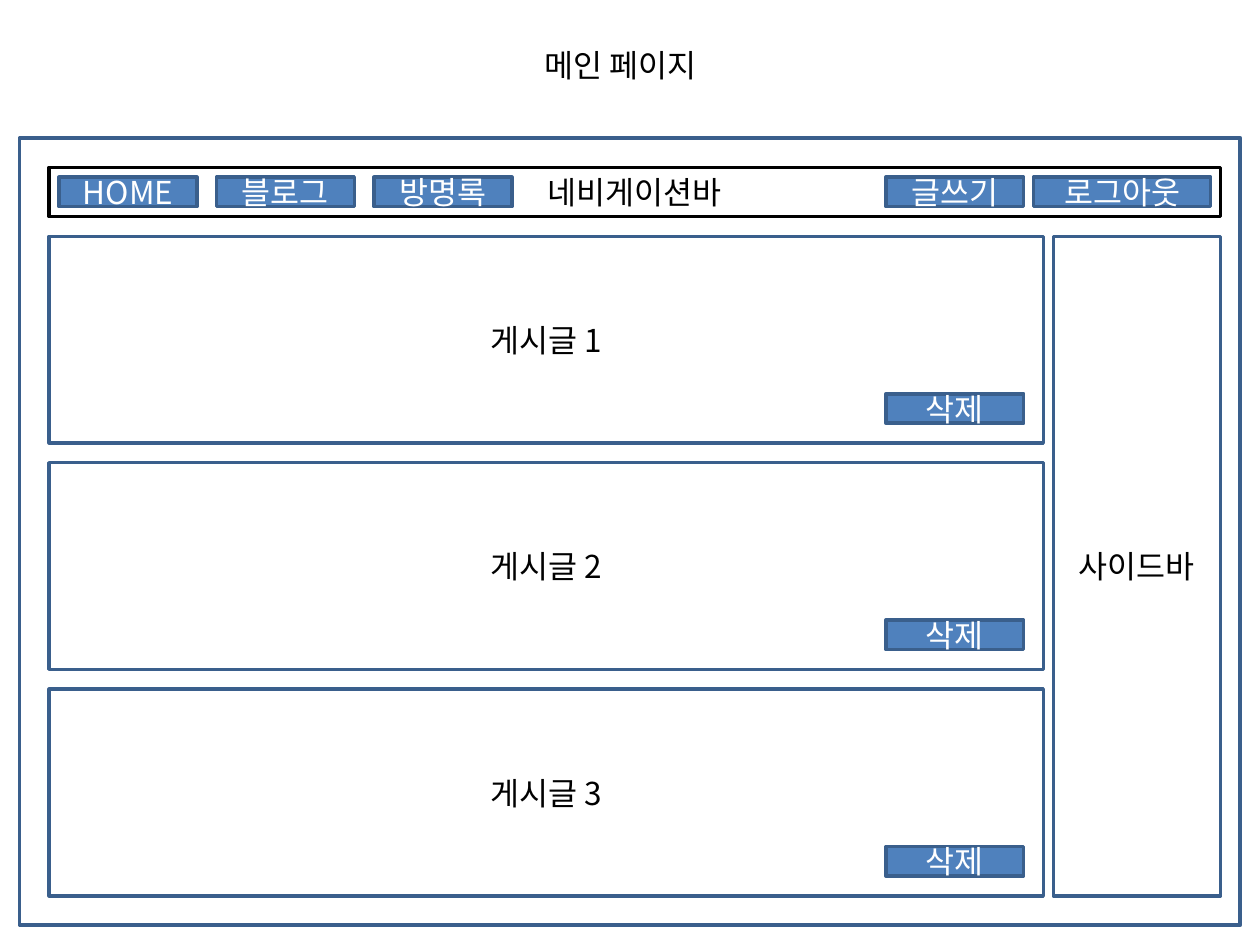
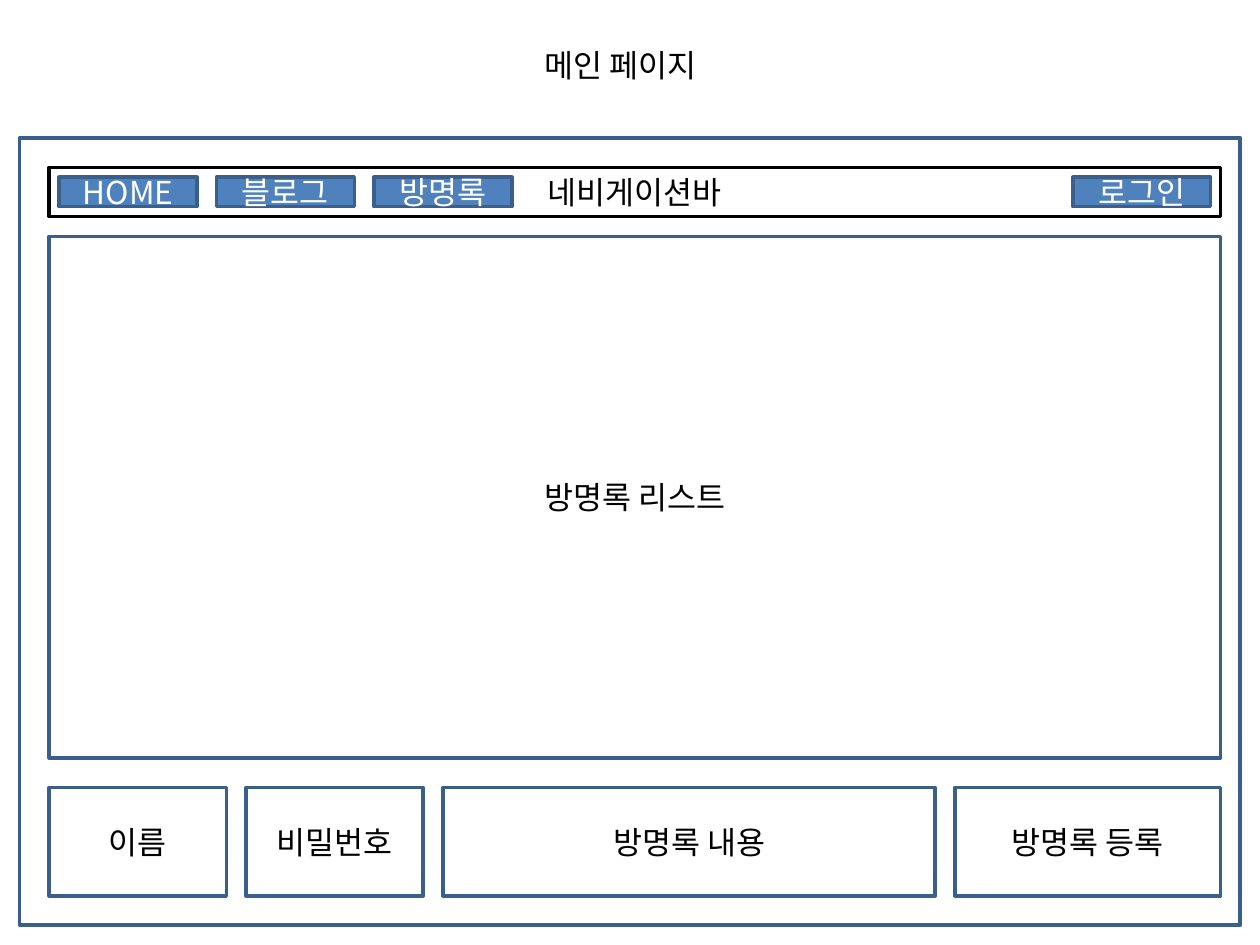
from pptx import Presentation
from pptx.dml.color import RGBColor
from pptx.enum.shapes import MSO_SHAPE as Shape
from pptx.enum.text import MSO_ANCHOR as Anchor, MSO_AUTO_SIZE as AutoSize, PP_ALIGN as Align
from pptx.oxml.ns import qn
from pptx.util import Pt
from lxml.etree import SubElement

# The page is a grid of 128 x 96 square units
WIDTH, HEIGHT = 720, 540
UNIT = WIDTH / 128


def color(hex_string):
    return RGBColor.from_string(hex_string)


def grid(*units):
    return [Pt(unit * UNIT) for unit in units]


class Wireframe:
    font, size, line_width = "Noto Sans CJK KR", 18, 2
    text_color, border, accent, light = "000000", "3A5F8C", "4F81BD", "FFFFFF"

    # Content area inside the page frame, in grid units
    left, right, top, bottom, gap = 5, 124, 24, 91, 2
    button_width, button_height, nav_button_top = 14, 3, 18

    def __init__(self, presentation):
        self.presentation = presentation
        self.slide = None

    def label(self, shape, text, text_color, align):
        shape.text_frame.text = text
        paragraph = shape.text_frame.paragraphs[0]
        paragraph.alignment = align
        for run in paragraph.runs:
            run.font.name = self.font
            run.font.size = Pt(self.size)
            run.font.color.rgb = color(text_color)
            east_asian = SubElement(run.font._element, qn("a:ea"))
            east_asian.set("typeface", self.font)

    def box(self, left, top, width, height, text="", fill=None, border=border, text_color=text_color):
        shape = self.slide.shapes.add_shape(Shape.RECTANGLE, *grid(left, top, width, height))
        shape.shadow.inherit = False
        if fill:
            shape.fill.solid()
            shape.fill.fore_color.rgb = color(fill)
        else:
            shape.fill.background()
        shape.line.color.rgb = color(border)
        shape.line.width = Pt(self.line_width)
        shape.text_frame.vertical_anchor = Anchor.MIDDLE
        if text:
            self.label(shape, text, text_color, Align.CENTER)

    def button(self, left, top, text, width=button_width):
        self.box(left, top, width, self.button_height, text, fill=self.accent, text_color=self.light)

    def title(self, text):
        shape = self.slide.shapes.add_textbox(Pt(304), Pt(22.5), Pt(111.6), Pt(29))
        shape.text_frame.word_wrap = False
        shape.text_frame.auto_size = AutoSize.SHAPE_TO_FIT_TEXT
        self.label(shape, text, self.text_color, Align.LEFT)

    def page(self, title, account_buttons):
        """Start a slide with frame, navigation bar and title."""
        self.slide = self.presentation.slides.add_slide(self.presentation.slide_layouts[6])
        self.box(2, 14, 124, 80)
        self.box(self.left, 17, self.right - self.left, 5, "네비게이션바", border=self.text_color)
        self.title(title)
        for index, text in enumerate(["HOME", "블로그", "방명록"]):
            left = self.left + 1 + index * (self.button_width + self.gap)
            self.button(left, self.nav_button_top, text)
        # Account buttons run from the right edge inwards
        edge = self.right - 1
        for text, width in account_buttons:
            self.button(edge - width, self.nav_button_top, text, width)
            edge -= width + 1

    def posts(self, texts, width, height):
        for index, text in enumerate(texts):
            top = self.top + index * (height + self.gap)
            self.box(self.left, top, width, height, text)
            self.button(self.left + width - self.gap - self.button_width,
                        top + height - self.gap - self.button_height, "삭제")

    def form_row(self, fields, height):
        left = self.left
        for text, width in fields:
            self.box(left, self.bottom - height, width, height, text)
            left += width + self.gap


presentation = Presentation()
presentation.slide_width, presentation.slide_height = Pt(WIDTH), Pt(HEIGHT)
wireframe = Wireframe(presentation)

# Slide 1: blog posts with sidebar
wireframe.page("메인 페이지", [("로그아웃", 18), ("글쓰기", 14)])
wireframe.posts(["게시글 1", "게시글 2", "게시글 3"], width=101, height=21)
wireframe.box(107, wireframe.top, 17, 67, "사이드바")

# Slide 2: guest book with entry form
wireframe.page("메인 페이지", [("로그인", 14)])
wireframe.box(wireframe.left, wireframe.top, 119, 53, "방명록 리스트")
wireframe.form_row([("이름", 18), ("비밀번호", 18), ("방명록 내용", 50), ("방명록 등록", 27)], height=11)

presentation.save("out.pptx")
